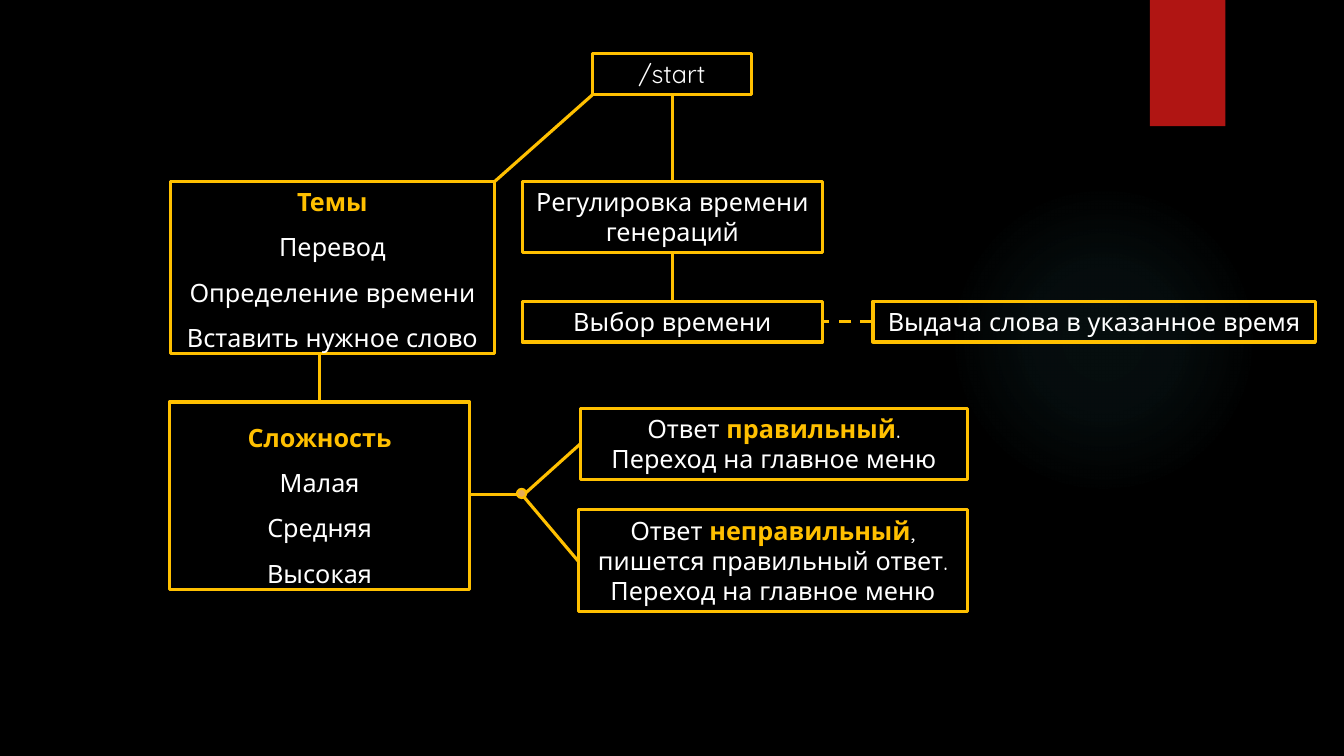
from lxml import etree
from pptx import Presentation
from pptx.dml.color import RGBColor
from pptx.enum.dml import MSO_LINE
from pptx.enum.shapes import MSO_CONNECTOR, MSO_SHAPE
from pptx.enum.text import MSO_AUTO_SIZE, PP_ALIGN
from pptx.oxml import parse_xml
from pptx.oxml.ns import nsdecls, qn
from pptx.util import Cm, Pt

RECT, OVAL = MSO_SHAPE.RECTANGLE, MSO_SHAPE.OVAL
STRAIGHT, DASH = MSO_CONNECTOR.STRAIGHT, MSO_LINE.DASH
FIT, CENTER = MSO_AUTO_SIZE.SHAPE_TO_FIT_TEXT, PP_ALIGN.CENTER
FONT = "Quicksand"
COLORS = {"back": "000000", "gold": "FFC000", "text": "FFFFFF",
          "red": "B01513", "dot": "E7AD58", "glow": "50B9C1"}

# left, top, width, height in cm; paragraphs (*...* is accented); line spacing
BOXES = [
    (14.94, 1.35, 3.99, 1.03, ["/start"], 1),
    (22, 7.59, 11.15, 1.03, ["Выдача слова в указанное время"], 1),
    (13.16, 4.57, 7.57, 1.8, ["Регулировка времени генераций"], 1),
    (13.16, 7.59, 7.57, 1.03, ["Выбор времени"], 1),
    (4.29, 4.57, 8.18, 4.34,
     ["*Темы*", "Перевод", "Определение времени", "Вставить нужное слово"],
     (1, 1.5, 1.5, 1.5)),
    (4.27, 10.13, 7.57, 4.72,
     ["*Сложность*", "Малая", "Средняя", "Высокая"], 1.5),
    (14.63, 10.29, 9.75, 1.8,
     ["Ответ *правильный*.", "Переход на главное меню"], 1),
    (14.58, 12.85, 9.8, 2.57,
     ["Ответ *неправильный*, пишется правильный ответ.",
      "Переход на главное меню"], 1),
]

# from x, from y, to x, to y in cm
LINKS = [
    (16.94, 2.38, 16.94, 4.57),
    (16.94, 6.38, 16.94, 7.59),
    (14.94, 2.38, 12.47, 4.57),
    (8.05, 8.92, 8.05, 10.13),
    (11.84, 12.45, 13.16, 12.45),
    (14.58, 14.15, 13.16, 12.47),
    (14.63, 11.18, 13.16, 12.5),
]
DASHED = (22, 8.1, 20.73, 8.1)


def color(name):
    return RGBColor.from_string(COLORS[name])


def add_solid(slide, kind, spot, fill):
    shape = slide.shapes.add_shape(kind, *map(Cm, spot))
    shape.shadow.inherit = False
    shape.fill.solid()
    shape.fill.fore_color.rgb = color(fill)
    shape.line.fill.background()
    return shape


def add_glow(slide, spot):
    """Add a faint round light that fades towards its rim."""
    shape = add_solid(slide, OVAL, spot, "glow")
    stops = "".join(
        f'<a:gs pos="{pos}000"><a:srgbClr val="{COLORS["glow"]}">'
        f'<a:alpha val="{alpha}000"/></a:srgbClr></a:gs>'
        for pos, alpha in ((0, 7), (36, 6), (69, 0)))
    grad = parse_xml(
        f'<a:gradFill {nsdecls("a")}><a:gsLst>{stops}</a:gsLst>'
        '<a:path path="circle"><a:fillToRect l="50000" t="50000" '
        'r="50000" b="50000"/></a:path></a:gradFill>')
    props = shape.element.spPr
    props.replace(props.find(qn("a:solidFill")), grad)


def add_ribbon(slide, spot):
    shape = add_solid(slide, RECT, spot, "red")
    effects = shape.element.spPr.find(qn("a:effectLst"))
    effects.append(parse_xml(
        f'<a:outerShdw {nsdecls("a")} blurRad="{Pt(3)}" dist="{Pt(2)}" '
        'dir="5400000"><a:srgbClr val="000000"><a:alpha val="45000"/>'
        '</a:srgbClr></a:outerShdw>'))


def add_box(slide, left, top, width, height, lines, gaps):
    box = slide.shapes.add_textbox(*map(Cm, (left, top, width, height)))
    box.line.color.rgb = color("gold")
    box.line.width = Pt(2.25)
    frame = box.text_frame
    frame.word_wrap = True
    frame.auto_size = FIT
    frame.text = "\n".join(line.replace("*", "") for line in lines)
    if not isinstance(gaps, tuple):
        gaps = (gaps,) * len(lines)
    for para, line, gap in zip(frame.paragraphs, lines, gaps):
        para.alignment = CENTER
        para.line_spacing = gap
        style(para, line)


def style(para, line):
    """Split the paragraph into runs and accent those between asterisks."""
    para.clear()
    for i, part in enumerate(line.split("*")):
        if not part:
            continue
        run = para.add_run()
        run.text = part
        font = run.font
        font.name, font.size = FONT, Pt(18)
        font.bold = i % 2 == 1
        font.color.rgb = color("gold" if font.bold else "text")


def add_link(slide, spot, dash=None):
    link = slide.shapes.add_connector(STRAIGHT, *map(Cm, spot))
    link.line.color.rgb = color("gold")
    link.line.width = Pt(2.25)
    if dash:
        link.line.dash_style = dash
    etree.SubElement(link.element.spPr, qn("a:effectLst"))


def add_dot(slide, spot):
    dot = add_solid(slide, OVAL, spot, "dot")
    dot.line.color.rgb = color("gold")
    dot.line.width = Pt(1.5)


def main():
    deck = Presentation()
    deck.slide_width, deck.slide_height = Cm(33.87), Cm(19.05)
    slide = deck.slides.add_slide(deck.slide_layouts[6])
    slide.background.fill.solid()
    slide.background.fill.fore_color.rgb = color("back")
    add_glow(slide, (23.9, 4.65, 7.82, 7.82))
    add_ribbon(slide, (28.98, 0, 1.9, 3.18))
    for box in BOXES:
        add_box(slide, *box)
    for link in LINKS:
        add_link(slide, link)
    add_link(slide, DASHED, DASH)
    add_dot(slide, (13.03, 12.32, 0.23, 0.23))
    deck.save("out.pptx")


if __name__ == "__main__":
    main()
